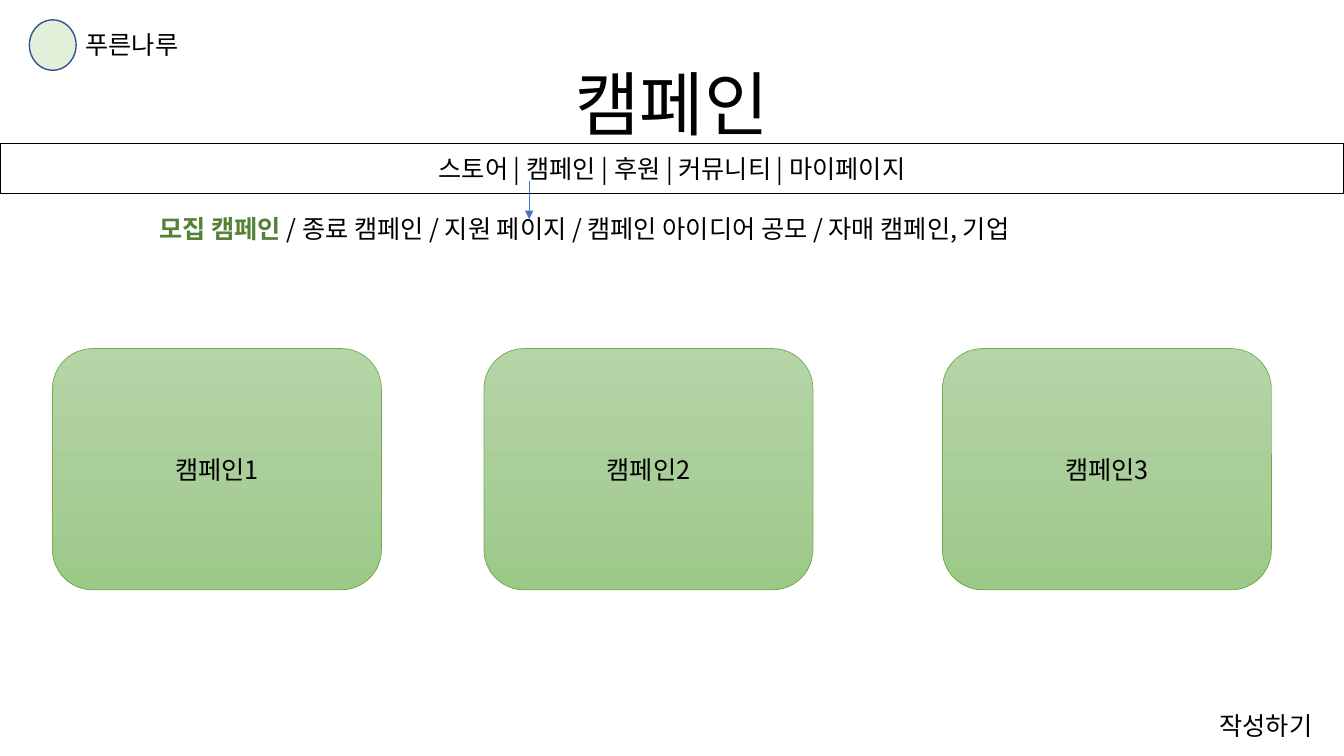
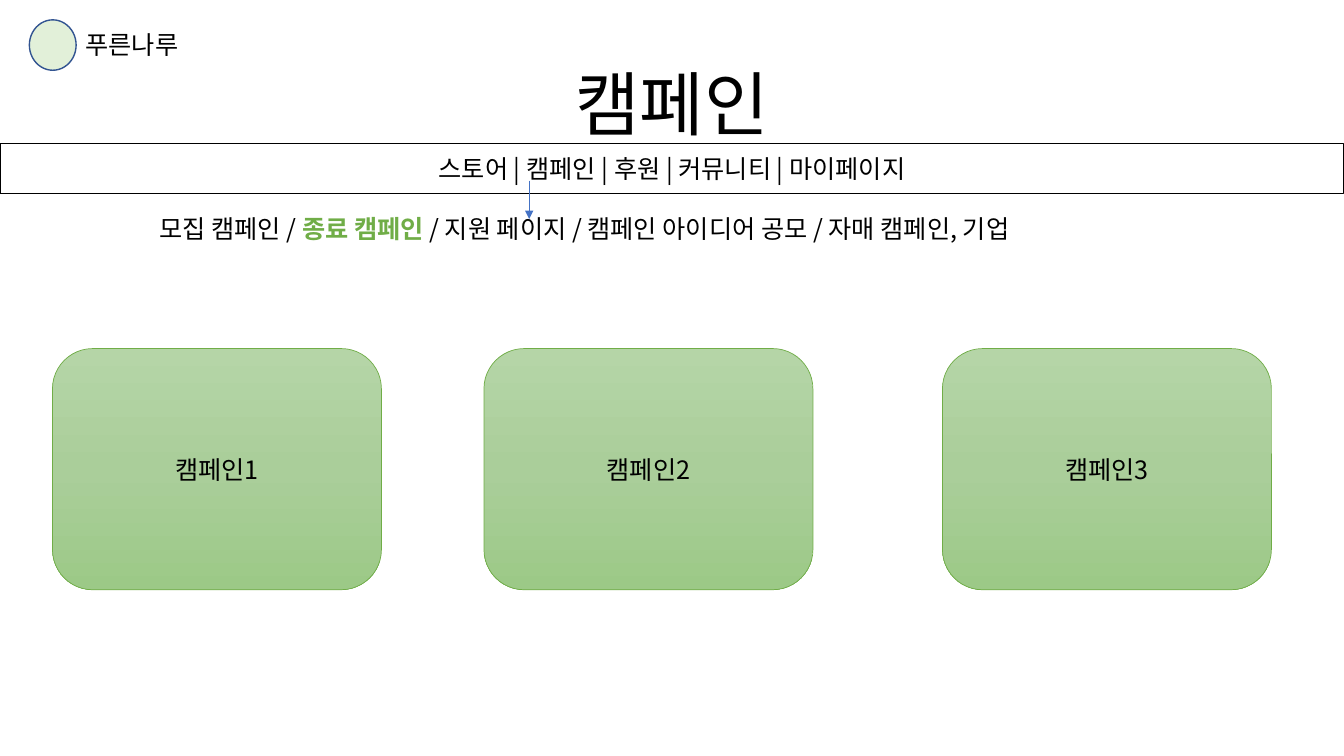
from copy import deepcopy
from dataclasses import dataclass

from lxml import etree
from pptx import Presentation
from pptx.dml.color import RGBColor
from pptx.enum import shapes as kinds, text as txt
from pptx.oxml import ns
from pptx.util import Pt


@dataclass(frozen=True)
class Theme:
    font: str = "Noto Sans CJK KR"
    head: int = 50
    body: int = 18
    ink: str = "000000"
    dark: str = "548235"
    green: str = "70AD47"
    pale: str = "E2F0D9"
    ring: str = "325491"
    blue: str = "4472C4"
    fade: tuple = ("B5D5A7", "AACE9A", "9CC987")


T = Theme()
KIND = kinds.MSO_SHAPE
LEFT, MID = txt.PP_ALIGN.LEFT, txt.PP_ALIGN.CENTER
MENU = ["스토어", "캠페인", "후원", "커뮤니티", "마이페이지"]
TABS = ["모집 캠페인", "종료 캠페인", "지원 페이지",
        "캠페인 아이디어 공모", "자매 캠페인, 기업"]


def rgb(code):
    return RGBColor.from_string(code)


def place(shape, box):
    shape.left, shape.top, shape.width, shape.height = map(Pt, box)


def write(shape, *parts, size=T.body, align=MID):
    """Each part is a string or a (string, colour) pair set in bold."""
    frame = shape.text_frame
    frame.word_wrap = True
    frame.auto_size = txt.MSO_AUTO_SIZE.NONE
    frame.vertical_anchor = txt.MSO_ANCHOR.MIDDLE
    para = frame.paragraphs[0]
    para.alignment = align
    for part in parts:
        words, color = (part, T.ink) if isinstance(part, str) else part
        run = para.add_run()
        run.text = words
        font = run.font
        font.size, font.name = Pt(size), T.font
        font.bold = not isinstance(part, str)
        font.color.rgb = rgb(color)
        east = etree.SubElement(run._r.get_or_add_rPr(), ns.qn("a:ea"))
        east.set("typeface", T.font)


def label(slide, box, *parts):
    write(slide.shapes.add_textbox(*map(Pt, box)), *parts, align=LEFT)


def draw(slide, kind, box, line, width, fill=None):
    shape = slide.shapes.add_shape(kind, *map(Pt, box))
    shape.shadow.inherit = False
    shape.line.color.rgb = rgb(line)
    shape.line.width = Pt(width)
    if fill:
        shape.fill.solid()
        shape.fill.fore_color.rgb = rgb(fill)
    else:
        shape.fill.background()
    return shape


def shade(shape, colors):
    fill = shape.fill
    fill.gradient()
    fill.gradient_angle = 270
    first = shape._element.spPr.find(".//" + ns.qn("a:gs"))
    for _ in colors[2:]:
        first.addnext(deepcopy(first))
    for i, (stop, color) in enumerate(zip(fill.gradient_stops, colors)):
        stop.color.rgb = rgb(color)
        stop.position = i / (len(colors) - 1)


def arrow(slide, x, top, end):
    line = slide.shapes.add_connector(
        kinds.MSO_CONNECTOR.STRAIGHT, Pt(x), Pt(top), Pt(x), Pt(end))
    line.line.color.rgb = rgb(T.blue)
    line.line.width = Pt(0.5)
    tip = etree.SubElement(line.line._get_or_add_ln(), ns.qn("a:tailEnd"))
    tip.set("type", "triangle")
    etree.SubElement(line._element.spPr, ns.qn("a:effectLst"))


# Title, site mark and main menu
def header(slide, box):
    x, y, w, h = box
    title = slide.shapes.title
    place(title, (x + 276, y + 39.6, 408, 67.7))
    write(title, "캠페인", size=T.head)
    draw(slide, KIND.OVAL, (x + 21, y + 14.2, 33.4, 36), T.ring, 1, T.pale)
    label(slide, (x + 54, y + 17.3, 154, 29), "푸른나루")
    bar = draw(slide, KIND.RECTANGLE, (x, y + h - 36, w, 36), T.ink, 0.75)
    write(bar, " | ".join(MENU))


# Submenu with the open tab in bold green
def tabs(slide, box, index, color):
    before = "".join(tab + " / " for tab in TABS[:index])
    after = "".join("/ " + tab + " " for tab in TABS[index + 1:]).rstrip()
    parts = [(TABS[index] + " ", color), after]
    label(slide, box, *([before] if before else []), *parts)
    arrow(slide, box[0] + 271.3, box[1] - 19.4, box[1] + 8)


# Row of campaign cards
def cards(slide, box):
    x, y, w, h = box
    for num, gap in enumerate((0, 308.2, 635.7), 1):
        card = draw(slide, KIND.ROUNDED_RECTANGLE, (x + gap, y, w, h),
                    T.green, 0.5)
        shade(card, T.fade)
        write(card, f"캠페인{num}")


def page(deck, index, color, action=None):
    slide = deck.slides.add_slide(deck.slide_layouts[5])
    header(slide, (0, 0, 960, 138.3))
    tabs(slide, (106.7, 148.5, 713.5, 29), index, color)
    cards(slide, (37.5, 249, 235, 172.3))
    if action:
        label(slide, (864, 503.3, 89.3, 29), action)


deck = Presentation()
deck.slide_width, deck.slide_height = Pt(960), Pt(540)
page(deck, 0, T.dark, "작성하기")
page(deck, 1, T.green)
deck.save("out.pptx")
